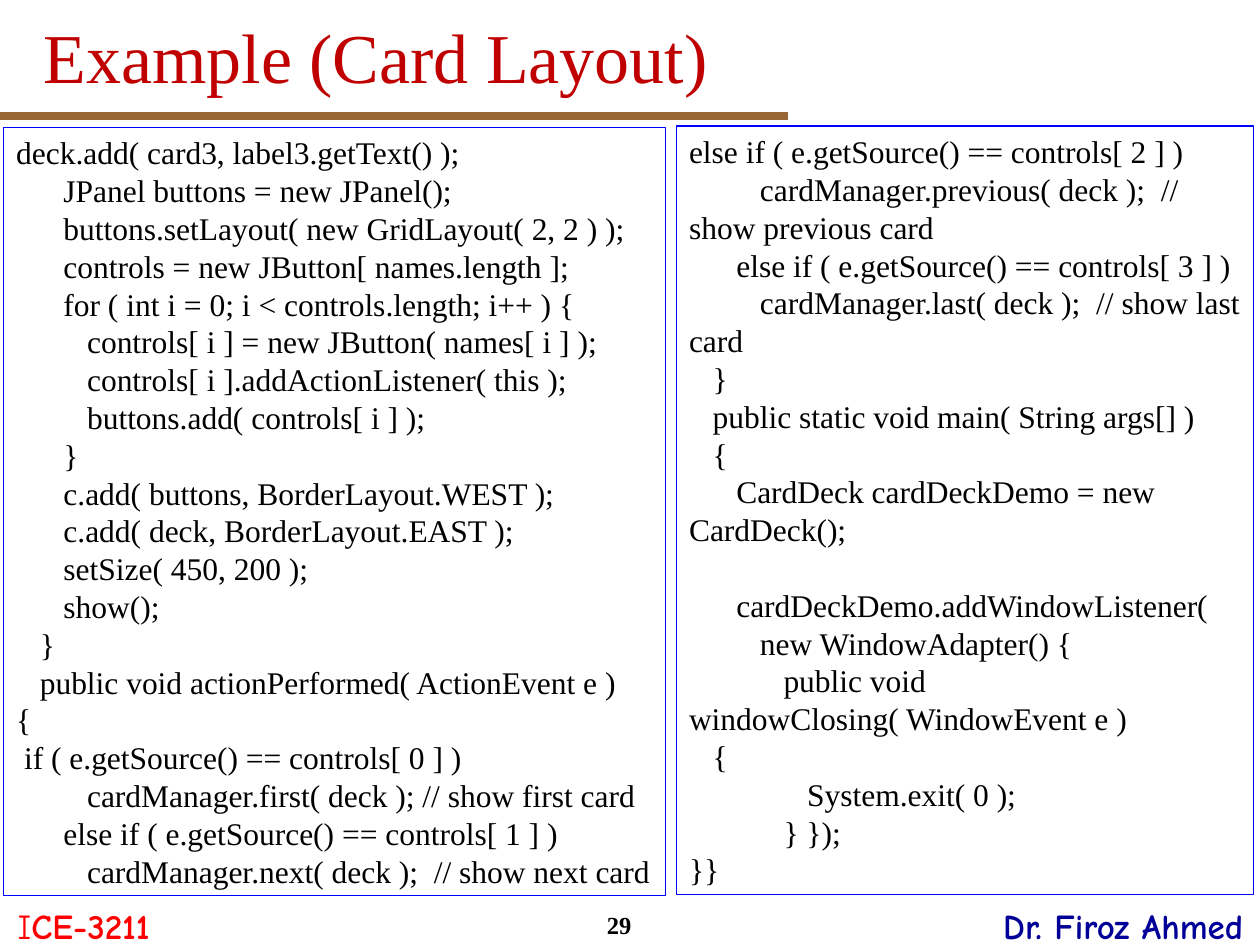
from pptx import Presentation
from pptx.dml.color import RGBColor
from pptx.enum.shapes import MSO_CONNECTOR, MSO_SHAPE
from pptx.enum.text import MSO_ANCHOR, PP_ALIGN
from pptx.util import Inches, Pt
from lxml import etree

STRAIGHT = MSO_CONNECTOR.STRAIGHT
RECTANGLE = MSO_SHAPE.RECTANGLE
TOP, MIDDLE = MSO_ANCHOR.TOP, MSO_ANCHOR.MIDDLE
LEFT, CENTER = PP_ALIGN.LEFT, PP_ALIGN.CENTER

THEME = {
    "serif": "Times New Roman", "casual": "Comic Neue",
    "title": "C00000", "course": "FF0000", "author": "000099",
    "ink": "000000", "frame": "0000FF", "rule": "996633",
    "title_size": 40, "footer_size": 20, "code_size": 18, "number_size": 14,
    "frame_width": 0.75, "rule_width": 4.5,
    "code_pitch": 21.6, "code_column": 4.5,
}

TITLE = "Example (Card Layout)"
COURSE = [("I", False), ("CE-3211", True)]
AUTHOR = [("Dr. Firoz Ahmed", True)]
PAGE_NUMBER = [("29", True)]

# (columns of indent, code, blank lines above)
LEFT_CODE = [
    (0, "deck.add( card3, label3.getText() );", 0),
    (6, "JPanel buttons = new JPanel();", 0),
    (6, "buttons.setLayout( new GridLayout( 2, 2 ) );", 0),
    (6, "controls = new JButton[ names.length ];", 0),
    (6, "for ( int i = 0; i < controls.length; i++ ) {", 0),
    (9, "controls[ i ] = new JButton( names[ i ] );", 0),
    (9, "controls[ i ].addActionListener( this );", 0),
    (9, "buttons.add( controls[ i ] );", 0),
    (6, "}", 0),
    (6, "c.add( buttons, BorderLayout.WEST );", 0),
    (6, "c.add( deck, BorderLayout.EAST );", 0),
    (6, "setSize( 450, 200 );", 0),
    (6, "show();", 0),
    (3, "}", 0),
    (3, "public void actionPerformed( ActionEvent e )", 0),
    (0, "{", 0),
    (1, "if ( e.getSource() == controls[ 0 ] )", 0),
    (9, "cardManager.first( deck ); // show first card", 0),
    (6, "else if ( e.getSource() == controls[ 1 ] )", 0),
    (9, "cardManager.next( deck );  // show next card", 0),
]
RIGHT_CODE = [
    (0, "else if ( e.getSource() == controls[ 2 ] )", 0),
    (9, "cardManager.previous( deck );  // show previous card", 0),
    (6, "else if ( e.getSource() == controls[ 3 ] )", 0),
    (9, "cardManager.last( deck );  // show last card", 0),
    (3, "}", 0),
    (3, "public static void main( String args[] )", 0),
    (3, "{", 0),
    (6, "CardDeck cardDeckDemo = new CardDeck();", 0),
    (6, "cardDeckDemo.addWindowListener(", 1),
    (9, "new WindowAdapter() {", 0),
    (12, "public void windowClosing( WindowEvent e )", 0),
    (3, "{", 0),
    (15, "System.exit( 0 );", 0),
    (12, "} });", 0),
    (0, "}}", 0),
]
CODE_PANELS = [((0.03, 1.01, 5.25, 6.1), LEFT_CODE), ((5.37, 1, 4.58, 6.1), RIGHT_CODE)]


def color(name):
    return RGBColor.from_string(THEME[name])


def style_font(font, family, size, ink):
    font.name = THEME[family]
    font.size = Pt(THEME[size])
    font.color.rgb = color(ink)


def add_label(page, place, spans, family, size, ink, align=CENTER, anchor=TOP):
    box = page.shapes.add_textbox(*map(Inches, place))
    frame = box.text_frame
    frame.word_wrap = True
    frame.vertical_anchor = anchor
    para = frame.paragraphs[0]
    para.alignment = align
    style_font(para.font, family, size, ink)
    for text, bold in spans:
        span = para.add_run()
        span.text = text
        span.font.bold = bold
        style_font(span.font, family, size, ink)


def add_code_panel(page, place, lines):
    box = page.shapes.add_shape(RECTANGLE, *map(Inches, place))
    box.shadow.inherit = False
    box.fill.background()
    box.line.color.rgb = color("frame")
    box.line.width = Pt(THEME["frame_width"])
    frame = box.text_frame
    frame.word_wrap = True
    frame.vertical_anchor = TOP
    for index, (columns, code, blanks) in enumerate(lines):
        para = frame.add_paragraph() if index else frame.paragraphs[0]
        para.text = code
        para.alignment = LEFT
        para.line_spacing = Pt(THEME["code_pitch"])
        para.space_before = Pt(blanks * THEME["code_pitch"])
        style_font(para.font, "serif", "code_size", "ink")
        properties = para._p.get_or_add_pPr()
        properties.set("marL", "0")
        properties.set("indent", str(Pt(columns * THEME["code_column"])))


def add_rule(page, left, right, top):
    rule = page.shapes.add_connector(STRAIGHT, *map(Inches, (left, top, right, top)))
    rule.line.color.rgb = color("rule")
    rule.line.width = Pt(THEME["rule_width"])
    properties = rule._element.spPr
    etree.SubElement(properties, "{http://schemas.openxmlformats.org/drawingml/2006/main}effectLst")


def main():
    deck = Presentation()
    deck.slide_width, deck.slide_height = Inches(10), Inches(7.5)
    page = deck.slides.add_slide(deck.slide_layouts[6])
    add_rule(page, 0, 6.25, 0.92)
    add_label(page, (0, 7.13, 1.33, 0.77), COURSE, "casual", "footer_size", "course")
    add_label(page, (7.83, 7.13, 2.17, 0.77), AUTHOR, "casual", "footer_size", "author")
    add_label(page, (4.58, 7.17, 0.67, 0.33), PAGE_NUMBER, "serif", "number_size", "ink")
    add_label(page, (0.25, -0.02, 9.5, 0.92), [(TITLE, False)], "serif", "title_size", "title", LEFT, MIDDLE)
    for place, lines in CODE_PANELS:
        add_code_panel(page, place, lines)
    deck.save("out.pptx")


if __name__ == "__main__":
    main()
